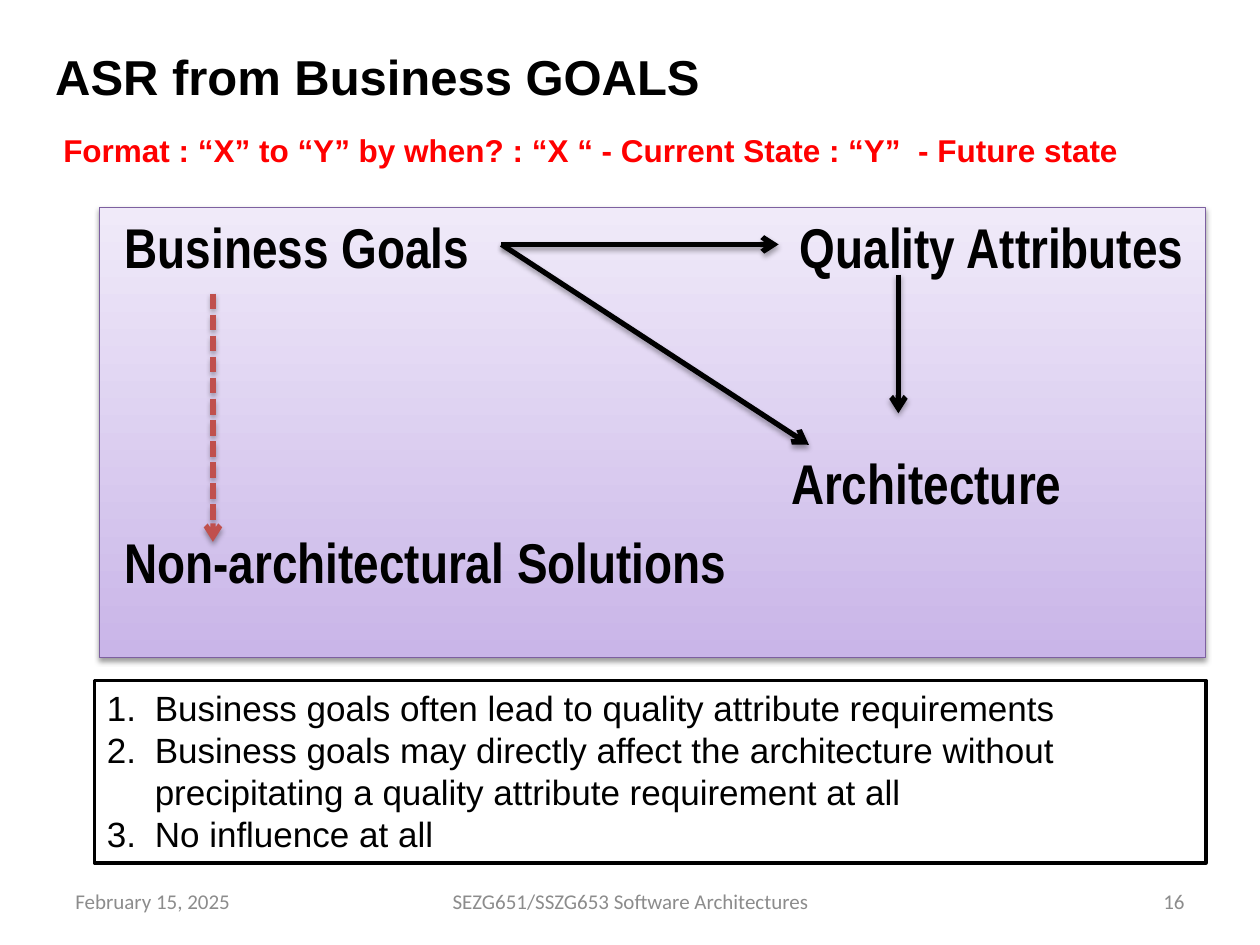
import pptx
import pptx.dml.color
import pptx.enum.dml
import pptx.enum.shapes
import pptx.enum.text
import pptx.oxml
import pptx.oxml.ns
import pptx.util

Inches = pptx.util.Inches
Pt = pptx.util.Pt
ALIGN = pptx.enum.text.PP_ALIGN
ANCHOR = pptx.enum.text.MSO_ANCHOR
NAMESPACE = pptx.oxml.ns.nsdecls("a")


def colour(value):
    return pptx.dml.color.RGBColor.from_string(value)


def element(tag, attributes="", inner=""):
    return pptx.oxml.parse_xml(f"<a:{tag} {NAMESPACE} {attributes}>{inner}</a:{tag}>")


def shadow(opacity, distance):
    return element(
        "outerShdw",
        f'blurRad="{Pt(3.1)}" dist="{Pt(distance)}" dir="5400000" rotWithShape="0"',
        f'<a:srgbClr val="000000"><a:alpha val="{opacity * 1000}"/></a:srgbClr>')


def write(para, text, size=12, font="Arial", ink="000000", bold=False,
          align=ALIGN.LEFT, numbered=False):
    if numbered:
        properties = para._p.get_or_add_pPr()
        properties.set("marL", str(Inches(0.38)))
        properties.set("indent", str(Inches(-0.38)))
        properties.append(element("buAutoNum", 'type="arabicPeriod"'))
    para.alignment = align
    span = para.add_run()
    span.text = text
    span.font.size = Pt(size)
    span.font.name = font
    span.font.bold = bold
    span.font.color.rgb = colour(ink)


class Page:
    """Draw styled elements on one slide."""

    ink = "000000"
    muted = "8C8C8C"

    def __init__(self, deck):
        self.shapes = deck.slides.add_slide(deck.slide_layouts[6]).shapes

    def label(self, place, text, anchor=ANCHOR.TOP, **style):
        box = self.shapes.add_textbox(*map(Inches, place))
        box.text_frame.word_wrap = True
        box.text_frame.vertical_anchor = anchor
        write(box.text_frame.paragraphs[0], text, **style)

    def footer(self, left, width, text, align):
        self.label((left, 6.95, width, 0.4), text, ANCHOR.MIDDLE,
                   font="Calibri", ink=self.muted, align=align)

    def rectangle(self, place, line, width):
        box = self.shapes.add_shape(
            pptx.enum.shapes.MSO_SHAPE.RECTANGLE, *map(Inches, place))
        box.shadow.inherit = False
        box.line.color.rgb = colour(line)
        box.line.width = Pt(width)
        return box

    def shaded_panel(self, place, line, bottom, top):
        box = self.rectangle(place, line, 0.75)
        box.fill.gradient()
        box.fill.gradient_angle = 90
        for position, (stop, value) in enumerate(
                zip(box.fill.gradient_stops, (bottom, top))):
            stop.color.rgb = colour(value)
            stop.position = position
        box._element.spPr.find(pptx.oxml.ns.qn("a:effectLst")).append(shadow(38, 1.6))

    def numbered_list(self, place, entries):
        box = self.rectangle(place, self.ink, 2)
        box.fill.solid()
        box.fill.fore_color.rgb = colour("FFFFFF")
        frame = box.text_frame
        frame.word_wrap = True
        frame.vertical_anchor = ANCHOR.TOP
        for index, text in enumerate(entries):
            para = frame.add_paragraph() if index else frame.paragraphs[0]
            write(para, text, size=20, numbered=True)

    def arrow(self, start, end, ink=ink, dashed=False):
        arrow = self.shapes.add_connector(
            pptx.enum.shapes.MSO_CONNECTOR.STRAIGHT, *map(Inches, start + end))
        arrow.line.color.rgb = colour(ink)
        arrow.line.width = Pt(3)
        if dashed:
            arrow.line.dash_style = pptx.enum.dml.MSO_LINE.SQUARE_DOT
        arrow.line._get_or_add_ln().append(element("tailEnd", 'type="arrow"'))
        effects = element("effectLst")
        effects.append(shadow(35, 1.8))
        arrow._element.spPr.append(effects)


def main():
    deck = pptx.Presentation()
    deck.slide_width, deck.slide_height = Inches(10), Inches(7.5)
    page = Page(deck)

    page.label((0.34, 0.22, 6.23, 0.77), "ASR from Business GOALS",
               ANCHOR.MIDDLE, size=28, bold=True)
    page.label((0.28, 0.99, 8.82, 0.4),
               "Format : “X” to “Y” by when? : “X “ - Current State : “Y”  - Future state",
               size=18, bold=True, ink="FF0000", align=ALIGN.CENTER)

    page.shaded_panel((0.79, 1.65, 8.78, 3.57), "7D60A0", "C9B5E8", "F0EAF9")
    for left, top, width, text in (
            (0.89, 1.64, 3.05, "Business Goals"),
            (6.25, 1.64, 3.3, "Quality Attributes"),
            (6.18, 3.51, 3.3, "Architecture"),
            (0.89, 4.14, 5.2, "Non-architectural Solutions")):
        page.label((left, top, width, 0.62), text,
                   size=32, font="Arial Narrow", bold=True)

    origin = (3.98, 1.94)
    page.arrow(origin, (6.18, 1.94))
    page.arrow(origin, (6.42, 3.53))
    page.arrow((1.69, 2.33), (1.69, 4.3), ink="C0504D", dashed=True)
    page.arrow((7.13, 2.18), (7.13, 3.28))

    page.numbered_list((0.75, 5.4, 8.82, 1.45), (
        "Business goals often lead to quality attribute requirements",
        "Business goals may directly affect the architecture without "
        "precipitating a quality attribute requirement at all",
        "No influence at all"))

    page.footer(0.5, 2.33, "February 15, 2025", ALIGN.LEFT)
    page.footer(3.42, 3.17, "SEZG651/SSZG653 Software Architectures", ALIGN.CENTER)
    page.footer(7.17, 2.33, "16", ALIGN.RIGHT)
    deck.save("out.pptx")


if __name__ == "__main__":
    main()
